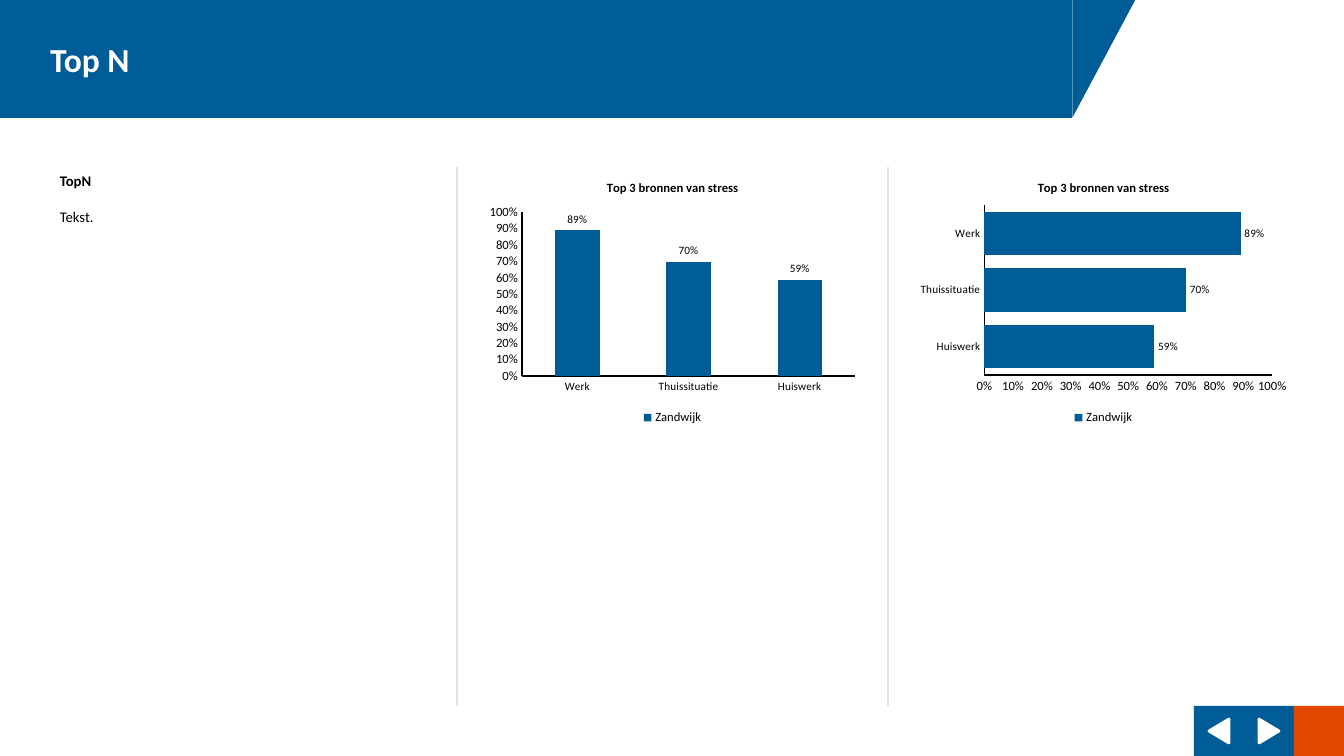
from lxml import etree
from pptx import Presentation
from pptx.chart.data import CategoryChartData
from pptx.dml.color import RGBColor
from pptx.enum.chart import XL_CHART_TYPE, XL_LABEL_POSITION, XL_LEGEND_POSITION, XL_TICK_MARK
from pptx.enum.shapes import MSO_CONNECTOR, MSO_SHAPE
from pptx.enum.text import MSO_ANCHOR, PP_ALIGN
from pptx.oxml.ns import qn
from pptx.util import Pt

PX = 914400 / 100.8
FONT = "Calibri"
COLORS = {
    "blue": "005C96",
    "orange": "E54800",
    "white": "FFFFFF",
    "black": "000000",
    "divider": "E3E3E3",
}
RECT = MSO_SHAPE.RECTANGLE
TRIANGLE = MSO_SHAPE.ISOSCELES_TRIANGLE
RIGHT_TRIANGLE = MSO_SHAPE.RIGHT_TRIANGLE
STRAIGHT = MSO_CONNECTOR.STRAIGHT
COLUMN = XL_CHART_TYPE.COLUMN_CLUSTERED
BAR = XL_CHART_TYPE.BAR_CLUSTERED
NO_TICK = XL_TICK_MARK.NONE
OUTSIDE_END = XL_LABEL_POSITION.OUTSIDE_END
LEGEND_BOTTOM = XL_LEGEND_POSITION.BOTTOM
MIDDLE = MSO_ANCHOR.MIDDLE
LEFT = PP_ALIGN.LEFT

STRESS = [("Werk", 0.89), ("Thuissituatie", 0.7), ("Huiswerk", 0.59)]


def px(*lengths):
    return [round(length * PX) for length in lengths]


def color(name):
    return RGBColor.from_string(COLORS[name])


def apply(target, formats):
    for attribute, value in formats.items():
        setattr(target, attribute, value)


def style_font(font, size, tint="black", bold=False):
    apply(font, {"name": FONT, "size": Pt(size), "bold": bold})
    font.color.rgb = color(tint)


def style_line(line, tint, width):
    line.color.rgb = color(tint)
    line.width = Pt(width)


def add_block(slide, preset, box, fill, rotation=0):
    block = slide.shapes.add_shape(preset, *px(*box))
    block.shadow.inherit = False
    block.rotation = rotation
    block.fill.solid()
    block.fill.fore_color.rgb = color(fill)
    block.line.fill.background()
    return block


def add_navigation(slide, left, top, side):
    for index, rotation in enumerate((270, 90)):
        x = left + index * side
        add_block(slide, RECT, (x, top, side, side), "blue")
        arrow = add_block(slide, TRIANGLE, (x + 13, top + 15, 24, 20), "white", rotation)
        style_line(arrow.line, "white", 2)
        etree.SubElement(arrow.line._get_or_add_ln(), qn("a:round"))
    add_block(slide, RECT, (left + 2 * side, top, side, side), "orange")


def add_divider(slide, x, top, bottom):
    divider = slide.shapes.add_connector(STRAIGHT, *px(x, bottom, x, top))
    style_line(divider.line, "divider", 1)
    etree.SubElement(divider.line._get_or_add_ln().getparent(), qn("a:effectLst"))


def add_header(slide, left, top, width, height, slant):
    offset = (height - slant) // 2
    corner = (left + width - offset, top + offset, height, slant)
    add_block(slide, RIGHT_TRIANGLE, corner, "blue", 90)
    banner = add_block(slide, RECT, (left, top, width, height), "blue")
    frame = banner.text_frame
    apply(frame, {"word_wrap": True, "vertical_anchor": MIDDLE, "margin_left": px(50)[0]})
    title = frame.paragraphs[0]
    title.alignment = LEFT
    run = title.add_run()
    run.text = "Top N"
    style_font(run.font, 24, "white", True)


def add_body(slide, box):
    frame = slide.shapes.add_textbox(*px(*box)).text_frame
    frame.word_wrap = True
    heading, body = frame.paragraphs[0], frame.add_paragraph()
    body.space_before = Pt(12.8)
    for paragraph, text, bold in ((heading, "TopN", True), (body, "Tekst.", False)):
        run = paragraph.add_run()
        run.text = text
        style_font(run.font, 10.5, bold=bold)


def add_stress_chart(slide, box, kind, sources, gap, overlap):
    data = CategoryChartData()
    data.categories = [name for name, share in sources]
    data.add_series("Zandwijk", [share for name, share in sources])
    chart = slide.shapes.add_chart(kind, *px(*box), data).chart
    style_font(chart.font, 18)

    chart.has_title = True
    heading = chart.chart_title
    heading.include_in_layout = False
    run = heading.text_frame.paragraphs[0].add_run()
    run.text = "Top 3 bronnen van stress"
    style_font(run.font, 9, bold=True)

    chart.has_legend = True
    apply(chart.legend, {"position": LEGEND_BOTTOM, "include_in_layout": False})
    style_font(chart.legend.font, 9)

    for axis, size in ((chart.category_axis, 8), (chart.value_axis, 9)):
        apply(axis, {
            "has_major_gridlines": False,
            "major_tick_mark": NO_TICK,
            "minor_tick_mark": NO_TICK,
        })
        style_font(axis.tick_labels.font, size)
        style_line(axis.format.line, "black", 1)
    apply(chart.value_axis, {"minimum_scale": 0, "maximum_scale": 1, "major_unit": 0.1})
    percent = {"number_format": "0%", "number_format_is_linked": False}
    apply(chart.value_axis.tick_labels, percent)

    plot = chart.plots[0]
    apply(plot, {"gap_width": gap, "overlap": overlap, "vary_by_categories": False})
    shares = plot.series[0]
    shares.format.fill.solid()
    shares.format.fill.fore_color.rgb = color("blue")
    labels = shares.data_labels
    apply(labels, percent | {"show_value": True, "position": OUTSIDE_END})
    style_font(labels.font, 8)


def add_top_n_slide(deck):
    slide = deck.slides.add_slide(deck.slide_layouts[6])
    top, bottom, column = 167, 706, 381
    add_navigation(slide, 1194, bottom, 50)
    for x in (888, 457):
        add_divider(slide, x, top, bottom)
    add_header(slide, 0, 0, 1072, 118, 63)
    add_body(slide, (50, top, column, 64))
    add_stress_chart(slide, (482, top, column, 262), COLUMN, STRESS, 150, 0)
    add_stress_chart(slide, (913, top, column, 262), BAR, STRESS[::-1], 30, -30)


def main():
    deck = Presentation()
    deck.slide_width, deck.slide_height = px(1344, 756)
    add_top_n_slide(deck)
    deck.save("out.pptx")


if __name__ == "__main__":
    main()
